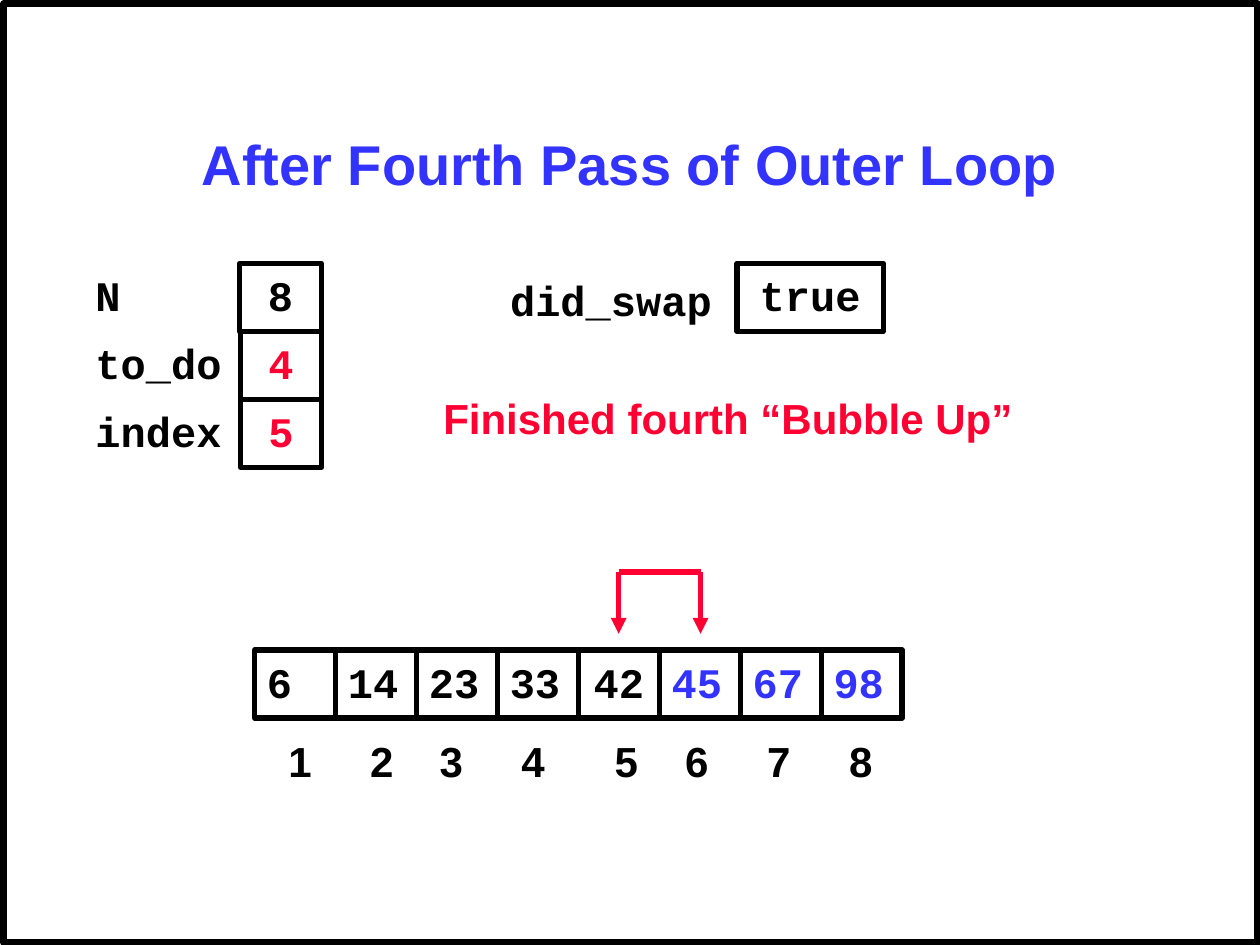
import pptx
import pptx.dml.color
import pptx.enum.shapes
import pptx.enum.text
import pptx.oxml.ns
import pptx.oxml.xmlchemy
import pptx.util
from pptx.dml.color import RGBColor
from pptx.enum.text import MSO_ANCHOR, PP_ALIGN
from pptx.util import Inches, Pt

BLACK = RGBColor(0x00, 0x00, 0x00)
BLUE = RGBColor(0x33, 0x33, 0xFF)
RED = RGBColor(0xFF, 0x00, 0x33)
WHITE = RGBColor(0xFF, 0xFF, 0xFF)
SANS = "Arial"
MONO = "Courier New"

CELL_HEIGHT = 0.54
LABEL_HEIGHT = 0.5

ARRAY_LEFT, ARRAY_TOP = 2.02, 5.16
ARRAY_VALUES = [6, 14, 23, 33, 42, 45, 67, 98]
ARRAY_CELL = 5.14 / len(ARRAY_VALUES)
FIRST_SORTED = 5
CENTERED_VALUE = 42
INDEX_STOPS = [0.65, 1.2, 1.85, 2.59, 3.15, 3.8, 4.45]

VARIABLES_TOP = 2.09
VARIABLES = [
    ("N", "8", BLACK, 1.9, 0.65),
    ("to_do", "4", RED, 1.91, 0.64),
    ("index", "5", RED, 1.91, 0.64),
]

SWAP_LEFT, SWAP_RIGHT = 4.91, 5.56
SWAP_TOP, SWAP_TIP = 4.54, 5.03


def add_element(parent, tag, **attributes):
    element = pptx.oxml.xmlchemy.OxmlElement(tag)
    for name, value in attributes.items():
        element.set(name, value)
    parent.append(element)
    return element


class SlideBuilder:
    text_size = 24
    line_width = 3

    def __init__(self, slide):
        self.slide = slide
        fill = slide.background.fill
        fill.solid()
        fill.fore_color.rgb = WHITE

    def set_text(self, shape, text, font, color, align, size):
        frame = shape.text_frame
        frame.word_wrap = True
        frame.vertical_anchor = MSO_ANCHOR.TOP
        frame.margin_left = Inches(0.1)
        # Left-aligned text gets the full width so that it stays on one line
        frame.margin_right = Inches(0.1 if align == PP_ALIGN.CENTER else 0)
        frame.margin_top = frame.margin_bottom = Inches(0.05)
        frame.text = text
        para = frame.paragraphs[0]
        para.alignment = align
        for span in para.runs:
            span.font.name = font
            span.font.size = Pt(size)
            span.font.bold = True
            span.font.color.rgb = color

    def label(self, text, left, top, width, height=LABEL_HEIGHT, font=MONO,
              color=BLACK, align=PP_ALIGN.LEFT, size=text_size):
        box = self.slide.shapes.add_textbox(
            Inches(left), Inches(top), Inches(width), Inches(height))
        self.set_text(box, text, font, color, align, size)
        return box

    def tabbed_label(self, items, stops, left, top, width):
        """Set items on one line, each after the first at its tab stop in inches."""
        box = self.label("\t".join(items), left, top, width, font=SANS)
        properties = box.text_frame.paragraphs[0]._p.get_or_add_pPr()
        tabs = add_element(properties, "a:tabLst")
        for stop in stops:
            add_element(tabs, "a:tab", pos=str(Inches(stop)), algn="l")

    def outline(self, left, top, width, height, line_width=line_width):
        shape = self.slide.shapes.add_shape(
            pptx.enum.shapes.MSO_SHAPE.RECTANGLE,
            Inches(left), Inches(top), Inches(width), Inches(height))
        shape.shadow.inherit = False
        shape.fill.background()
        shape.line.color.rgb = BLACK
        shape.line.width = Pt(line_width)
        return shape

    def cell(self, text, left, top, width, color=BLACK, align=PP_ALIGN.CENTER):
        shape = self.outline(left, top, width, CELL_HEIGHT)
        self.set_text(shape, text, MONO, color, align, self.text_size)

    def line(self, group, start, end, arrow_at_start=False):
        connector = group.shapes.add_connector(
            pptx.enum.shapes.MSO_CONNECTOR.STRAIGHT,
            *(Inches(value) for value in start + end))
        connector.line.color.rgb = RED
        connector.line.width = Pt(self.line_width)
        properties = connector._element.spPr
        if arrow_at_start:
            outline = properties.find(pptx.oxml.ns.qn("a:ln"))
            add_element(outline, "a:headEnd", type="triangle")
        add_element(properties, "a:effectLst")

    def swap_bracket(self, left, right, top, tip):
        """Join two array cells with a bracket that points down at both."""
        group = self.slide.shapes.add_group_shape()
        for x in (left, right):
            self.line(group, (x, tip), (x, top), arrow_at_start=True)
        self.line(group, (left, top), (right, top))


def main():
    deck = pptx.Presentation()
    deck.slide_width = Inches(10)
    deck.slide_height = Inches(7.5)
    page = SlideBuilder(deck.slides.add_slide(deck.slide_layouts[6]))

    page.outline(0.03, 0.03, 9.95, 7.45, line_width=3.75)
    title = page.label("After Fourth Pass of Outer Loop", 0.75, 0.67, 8.5, 1.25,
                       font=SANS, color=BLUE, align=PP_ALIGN.CENTER, size=32)
    title.text_frame.vertical_anchor = MSO_ANCHOR.MIDDLE

    for position, value in enumerate(ARRAY_VALUES):
        page.cell(
            str(value), ARRAY_LEFT + position * ARRAY_CELL, ARRAY_TOP, ARRAY_CELL,
            color=BLUE if position >= FIRST_SORTED else BLACK,
            align=PP_ALIGN.CENTER if value == CENTERED_VALUE else PP_ALIGN.LEFT)
    indexes = [str(number + 1) for number in range(len(ARRAY_VALUES))]
    page.tabbed_label(indexes, INDEX_STOPS, 2.19, 5.79, 4.83)

    for row, (name, value, color, left, width) in enumerate(VARIABLES):
        top = VARIABLES_TOP + row * CELL_HEIGHT
        page.label(name, 0.66, top, 1.2)
        page.cell(value, left, top, width, color=color)

    page.swap_bracket(SWAP_LEFT, SWAP_RIGHT, SWAP_TOP, SWAP_TIP)
    page.label("did_swap", 3.95, 2.13, 2.6)
    page.cell("true", 5.85, VARIABLES_TOP, 1.16)
    page.label("Finished fourth “Bubble Up”", 3.42, 3.07, 4.72,
               font=SANS, color=RED)

    deck.save("out.pptx")


if __name__ == "__main__":
    main()
